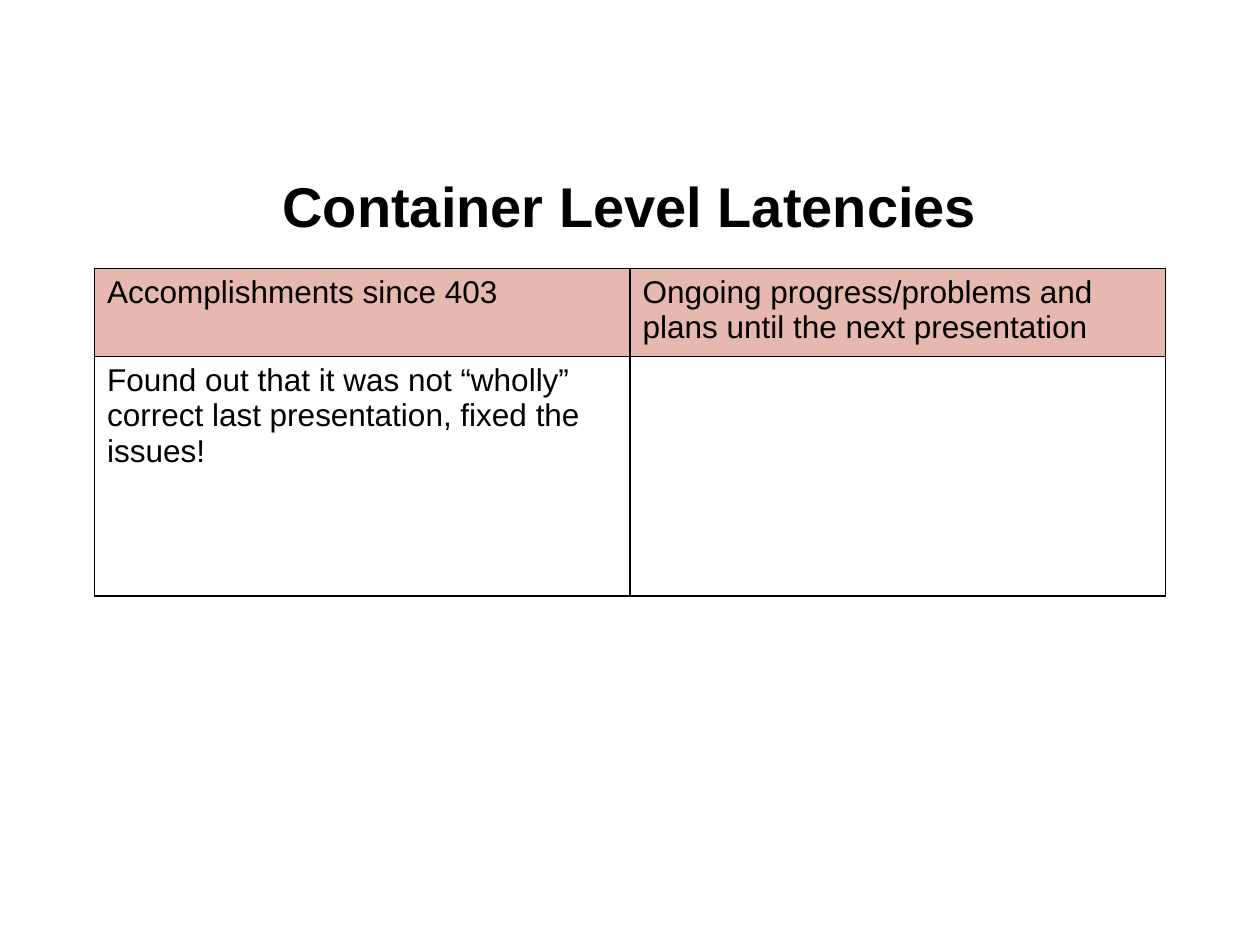
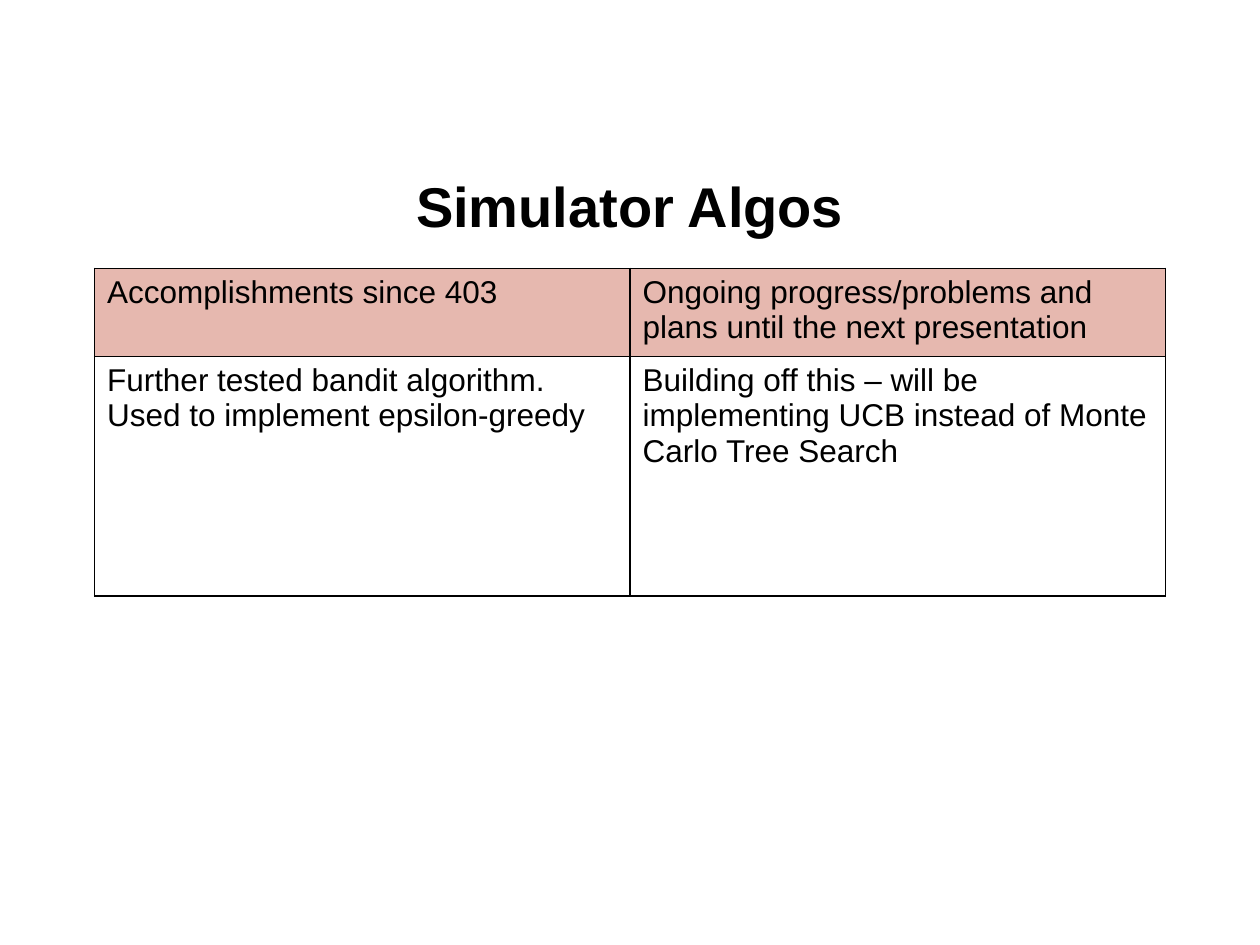
from dataclasses import dataclass

from lxml.etree import SubElement
from pptx import Presentation
from pptx.dml.color import RGBColor
from pptx.enum.text import MSO_ANCHOR as Anchor, PP_ALIGN as Align
from pptx.oxml.ns import qn
from pptx.util import Pt

FONT = "Arial"
BLACK = "000000"
HEADER_FILL = "E6B8AF"
HEADERS = (
    "Accomplishments since 403",
    "Ongoing progress/problems and plans until the next presentation",
)
COL_WIDTH = 306
ROW_HEIGHTS = (50.4, 136.8)


@dataclass(frozen=True)
class Status:
    title: str
    done: str
    ongoing: str = ""


STATUSES = (
    Status(
        "Container Level Latencies",
        "Found out that it was not “wholly” correct last presentation, fixed the issues!",
    ),
    Status(
        "Simulator Algos",
        "Further tested bandit algorithm. Used to implement epsilon-greedy",
        "Building off this – will be implementing UCB instead of Monte Carlo Tree Search",
    ),
)


def rgb(color: str) -> RGBColor:
    return RGBColor.from_string(color)


def write(tf, text: str, *, size=18, bold=False, color=BLACK,
          align=Align.LEFT, spacing=1.0) -> None:
    tf.word_wrap = True
    p = tf.paragraphs[0]
    p.alignment, p.line_spacing = align, spacing
    p.font.size = Pt(size)
    if text:
        r = p.add_run()
        r.text = text
        r.font.name, r.font.size, r.font.bold = FONT, Pt(size), bold
        r.font.color.rgb = rgb(color)


def add_borders(cell, color: str = BLACK, width: float = 1) -> None:
    """Outline all four sides; borders must precede the cell fill in the XML."""
    tc_pr = cell._tc.get_or_add_tcPr()
    for side in ("lnL", "lnR", "lnT", "lnB"):
        ln = SubElement(tc_pr, qn(f"a:{side}"), w=str(Pt(width)))
        fill = SubElement(ln, qn("a:solidFill"))
        SubElement(fill, qn("a:srgbClr"), val=color)


def add_title(slide, text: str) -> None:
    tf = slide.shapes.add_textbox(Pt(36), Pt(82.8), Pt(648), Pt(63.36)).text_frame
    tf.vertical_anchor = Anchor.MIDDLE
    write(tf, text, size=32, bold=True, align=Align.CENTER, spacing=1.15)


def add_status_table(slide, status: Status) -> None:
    rows = (HEADERS, (status.done, status.ongoing))
    table = slide.shapes.add_table(
        len(rows), len(HEADERS), Pt(54), Pt(153.36),
        Pt(COL_WIDTH * len(HEADERS)), Pt(sum(ROW_HEIGHTS)),
    ).table
    table.first_row = table.horz_banding = False
    for i, (texts, height) in enumerate(zip(rows, ROW_HEIGHTS)):
        table.rows[i].height = Pt(height)
        for j, text in enumerate(texts):
            cell = table.cell(i, j)
            add_borders(cell)
            if i == 0:
                cell.fill.solid()
                cell.fill.fore_color.rgb = rgb(HEADER_FILL)
            else:
                cell.fill.background()
            write(cell.text_frame, text)


def main() -> None:
    prs = Presentation()
    prs.slide_width, prs.slide_height = Pt(720), Pt(540)
    for status in STATUSES:
        slide = prs.slides.add_slide(prs.slide_layouts[6])
        add_title(slide, status.title)
        add_status_table(slide, status)
    prs.save("out.pptx")


if __name__ == "__main__":
    main()
